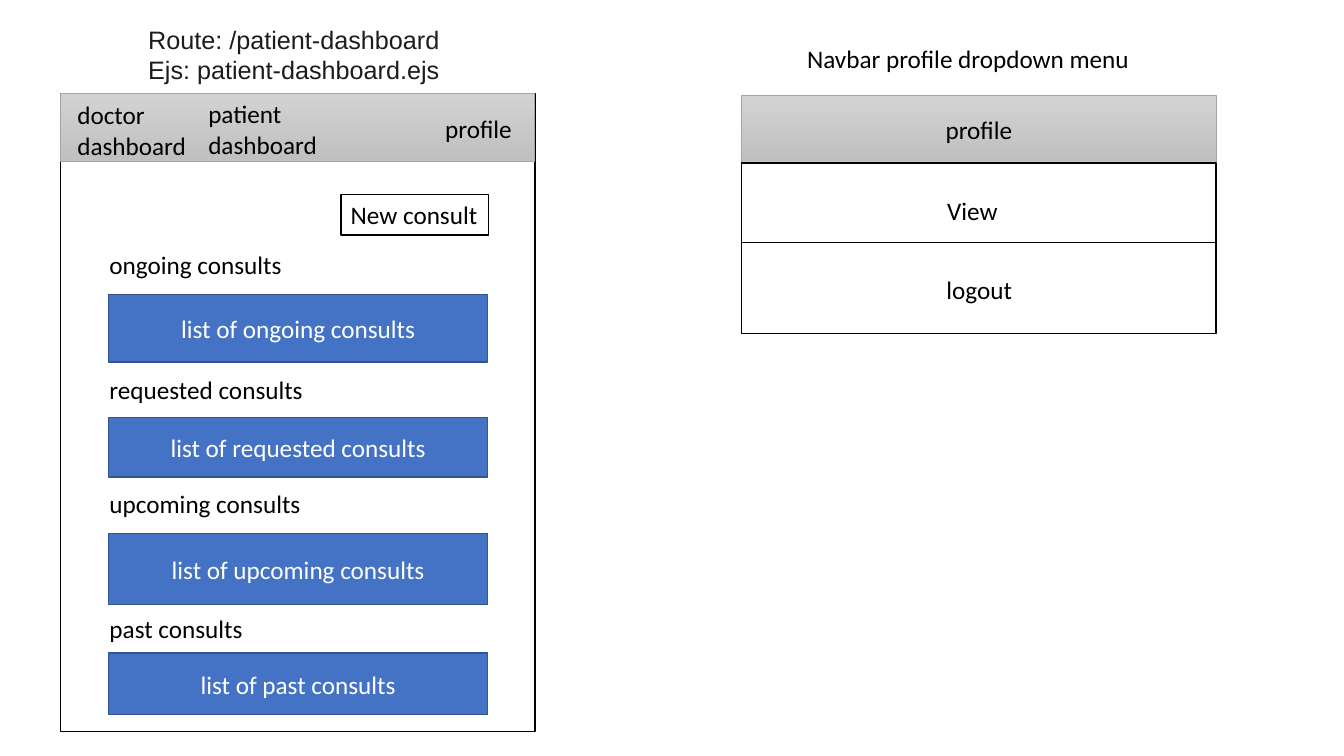
from pptx import Presentation, util as u
from pptx.dml.color import RGBColor
from pptx.enum import shapes, text
from pptx.oxml.ns import qn
from lxml import etree

LEFT, CENTER = text.PP_ALIGN.LEFT, text.PP_ALIGN.CENTER
TOP, MIDDLE = text.MSO_ANCHOR.TOP, text.MSO_ANCHOR.MIDDLE
BLACK, WHITE, BLUE, NAVY = "000000", "FFFFFF", "4472C4", "325491"
GREY = ("D2D2D2", "C0C0C0")


def colour(value):
    return RGBColor.from_string(value)


def add_box(parent, place, lines=(), fill=None, line=None, width=1,
            align=LEFT, anchor=TOP, ink=BLACK, font="Calibri"):
    """Add a rectangle, or a text box when it has neither fill nor line."""
    place = [u.Cm(length) for length in place]
    if fill or line:
        box = parent.add_shape(shapes.MSO_SHAPE.RECTANGLE, *place)
        box.shadow.inherit = False
        box.line.color.rgb = colour(line)
        box.line.width = u.Pt(width)
    else:
        box = parent.add_textbox(*place)
    if isinstance(fill, tuple):
        box.fill.gradient()
        box.fill.gradient_angle = 270
        for stop, shade in zip(box.fill.gradient_stops, fill):
            stop.color.rgb = colour(shade)
    elif fill:
        box.fill.solid()
        box.fill.fore_color.rgb = colour(fill)
    else:
        box.fill.background()
    frame = box.text_frame
    for name, value in {"word_wrap": True, "vertical_anchor": anchor}.items():
        setattr(frame, name, value)
    for index, words in enumerate(lines):
        para = frame.add_paragraph() if index else frame.paragraphs[0]
        para.text = words
        para.alignment = align
        for span in para.runs:
            for name, value in {"name": font, "size": u.Pt(18)}.items():
                setattr(span.font, name, value)
            span.font.color.rgb = colour(ink)
    return box


deck = Presentation()
deck.slide_width, deck.slide_height = u.Cm(33.87), u.Cm(19.05)
page = deck.slides.add_slide(deck.slide_layouts[6])
canvas = page.shapes

bar_width, bar_height, label_height = 11.96, 1.7, 1.02
dashboard_left, menu_left = 1.52, 18.69
bar_style = {"fill": GREY, "line": "A5A5A5", "width": 0.5}

# Dashboard frame and title
add_box(canvas, (dashboard_left, 2.36, bar_width, 16.08), line=BLACK)
add_box(canvas, (3.43, 0.48, 7.95, 1.8),
        ["Route: /patient-dashboard", "Ejs: patient-dashboard.ejs"],
        align=CENTER, ink="1D1C1D", font="Arial")

# Navbar
navbar = canvas.add_group_shape().shapes
add_box(navbar, (dashboard_left, 2.36, bar_width, bar_height), **bar_style)
for place, words in [
    ((10.97, 2.72, 2.51, label_height), "profile"),
    ((1.7, 2.39, 3.48, 1.8), "doctor\vdashboard"),
    ((5.0, 2.36, 3.48, 1.8), "patient\vdashboard"),
]:
    add_box(navbar, place, [words])

# New consult button
add_box(canvas, (8.59, 4.9, 3.73, label_height), ["New consult"],
        fill=WHITE, line=BLACK)

# Consult sections: label top, list top, list height
for stage, label_top, list_top, list_height in [
    ("ongoing", 6.17, 7.42, 1.7),
    ("requested", 9.3, 10.52, 1.5),
    ("upcoming", 12.17, 13.44, 1.8),
    ("past", 15.32, 16.46, 1.55),
]:
    title = f"{stage} consults"
    add_box(canvas, (2.51, label_top, 9.8, label_height), [title])
    add_box(canvas, (2.74, list_top, 9.55, list_height), [f"list of {title}"],
            fill=BLUE, line=NAVY, align=CENTER, anchor=MIDDLE, ink=WHITE)

# Profile dropdown menu
add_box(canvas, (20.09, 0.97, 9.17, label_height),
        ["Navbar profile dropdown menu"])
add_box(canvas, (menu_left, 2.41, bar_width, bar_height), ["profile"],
        align=CENTER, anchor=MIDDLE, **bar_style)
add_box(canvas, (menu_left, 4.11, bar_width, 4.3), line=BLACK)
add_box(canvas, (23.62, 4.8, 2.11, label_height), ["View"])
add_box(canvas, (23.27, 6.78, 2.82, label_height), ["logout"], align=CENTER)

divider = canvas.add_connector(
    shapes.MSO_CONNECTOR.STRAIGHT, u.Cm(menu_left), u.Cm(6.1),
    u.Cm(menu_left + bar_width), u.Cm(6.1))
divider.line.color.rgb = colour(BLACK)
divider.line.width = u.Pt(0.5)
etree.SubElement(divider._element.spPr, qn("a:effectLst"))

deck.save("out.pptx")
